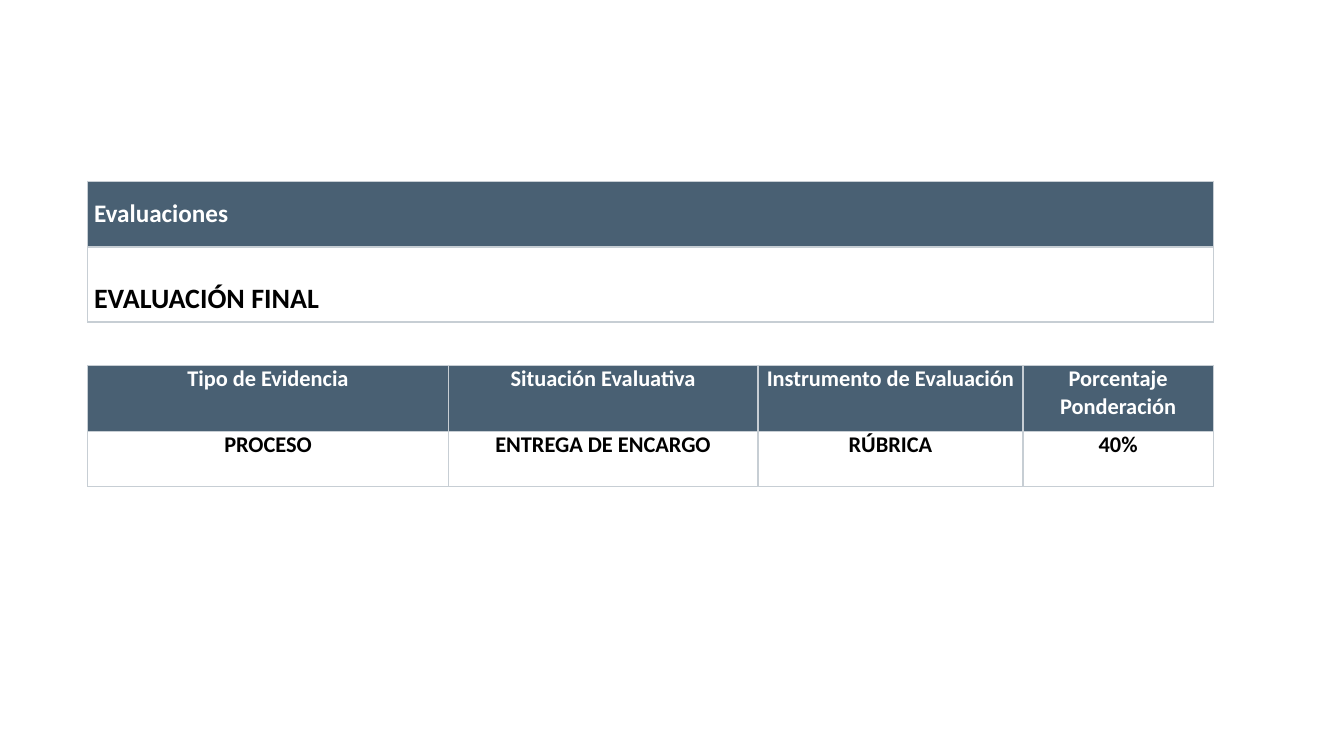
"""Build the slide with the evaluation heading and its weighting table."""
from lxml import etree
from pptx import Presentation
from pptx.dml.color import RGBColor
from pptx.enum.text import MSO_ANCHOR, PP_ALIGN
from pptx.oxml.ns import qn
from pptx.util import Pt

LEFT, MID = PP_ALIGN.LEFT, PP_ALIGN.CENTER
TOP, CENTER, LOW = MSO_ANCHOR.TOP, MSO_ANCHOR.MIDDLE, MSO_ANCHOR.BOTTOM
HUES = {"slate": "496073", "edge": "C7CED4", "white": "FFFFFF", "black": "000000"}
X, WIDTH = 62.7, 804


def add_grid(slide, top, widths, heights):
    """Add a plain table with the given column widths and row heights."""
    frame = slide.shapes.add_table(len(heights), len(widths), Pt(X), Pt(top),
                                   Pt(WIDTH), Pt(sum(heights)))
    grid = frame.table
    grid.first_row = grid.horz_banding = False
    for col, width in zip(grid.columns, widths):
        col.width = Pt(width)
    for row, height in zip(grid.rows, heights):
        row.height = Pt(height)
    return grid


def fill_cell(cell, text, size, head, align, anchor):
    """Write, border and colour one cell."""
    props = cell._tc.get_or_add_tcPr()
    for side in ("lnL", "lnR", "lnT", "lnB"):
        line = etree.SubElement(props, qn(f"a:{side}"), w=str(Pt(1)))
        solid = etree.SubElement(line, qn("a:solidFill"))
        etree.SubElement(solid, qn("a:srgbClr"), val=HUES["edge"])
    if head:
        cell.fill.solid()
        cell.fill.fore_color.rgb = RGBColor.from_string(HUES["slate"])
    else:
        cell.fill.background()
    cell.margin_left = cell.margin_right = Pt(4.5)
    cell.margin_top = cell.margin_bottom = 0
    cell.vertical_anchor = anchor
    cell.text_frame.text = text
    para = cell.text_frame.paragraphs[0]
    para.alignment = align
    font = para.runs[0].font
    font.name, font.size, font.bold = "Calibri", Pt(size), True
    font.color.rgb = RGBColor.from_string(HUES["white" if head else "black"])


deck = Presentation()
deck.slide_width, deck.slide_height = Pt(960), Pt(540)
slide = deck.slides.add_slide(deck.slide_layouts[6])

title = add_grid(slide, 129.5, [WIDTH], [47, 53.5])
fill_cell(title.cell(0, 0), "Evaluaciones", 18, True, LEFT, CENTER)
fill_cell(title.cell(1, 0), "EVALUACIÓN FINAL", 20, False, LEFT, LOW)
title.cell(1, 0).margin_bottom = Pt(4.5)

ROWS = [
    ["Tipo de Evidencia", "Situación Evaluativa", "Instrumento de Evaluación",
     "Porcentaje Ponderación"],
    ["PROCESO", "ENTREGA DE ENCARGO", "RÚBRICA", "40%"],
]
table = add_grid(slide, 261, [257.5, 221.2, 189.3, 136], [47.3, 39.5])
for r, row in enumerate(ROWS):
    for c, text in enumerate(row):
        fill_cell(table.cell(r, c), text, 16, r == 0, MID, TOP)

deck.save("out.pptx")
